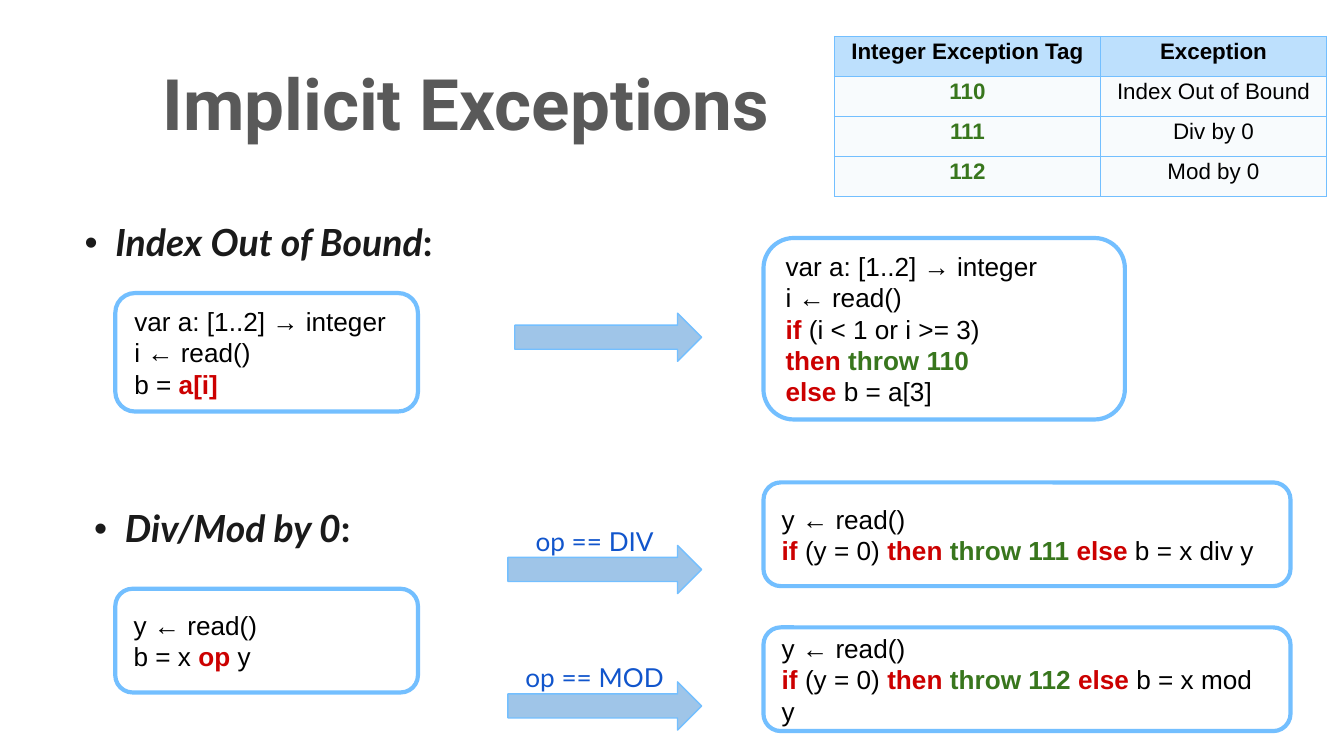
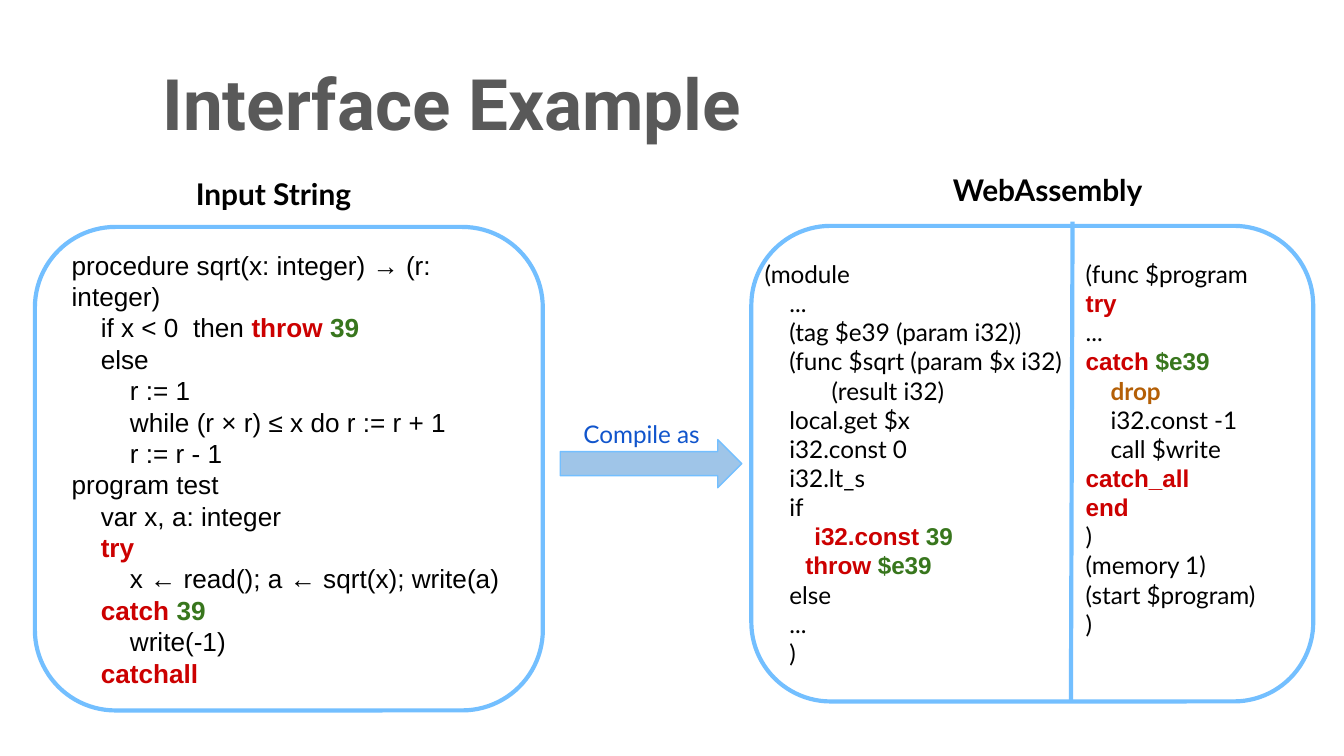
import dataclasses

import lxml.etree
import pptx
import pptx.dml.color
import pptx.enum.shapes
import pptx.enum.text
import pptx.oxml
import pptx.oxml.ns
import pptx.util

Cm = pptx.util.Cm
Pt = pptx.util.Pt
Shape = pptx.enum.shapes.MSO_SHAPE
Anchor = pptx.enum.text.MSO_ANCHOR
Align = pptx.enum.text.PP_ALIGN
AutoSize = pptx.enum.text.MSO_AUTO_SIZE
qn = pptx.oxml.ns.qn


def color(value):
    return pptx.dml.color.RGBColor.from_string(value)


def apply(target, values):
    for name, value in values.items():
        setattr(target, name, value)


def margins(size):
    return {f"margin_{side}": Cm(size) for side in ("left", "right", "top", "bottom")}


def line(*runs, indent=0):
    return runs, indent


@dataclasses.dataclass(frozen=True)
class Theme:
    outline: str = "73BFFF"
    arrow: str = "9FC5E8"
    header: str = "BDE0FD"
    row: str = "F8FBFD"
    bullet: str = "1A1A1A"
    box_line: float = 2.25
    thin_line: float = 0.75
    styles: dict = dataclasses.field(default_factory=lambda: {
        "title": dict(name="Roboto", size=Pt(38), bold=True, color="595959"),
        "bullet": dict(name="Lato", size=Pt(20), bold=True, italic=True, color="1A1A1A"),
        "upright": dict(italic=False),
        "code": dict(name="Arial", size=Pt(14), color="000000"),
        "module": dict(name="Lato", size=Pt(13), color="000000"),
        "heading": dict(name="Lato", size=Pt(16), bold=True, color="000000"),
        "operator": dict(name="Lato", size=Pt(14), color="1155CC"),
        "action": dict(name="Lato", size=Pt(13), color="1155CC"),
        "cell": dict(name="Arial", size=Pt(12), color="000000"),
        "strong": dict(bold=True),
        "keyword": dict(name="Arial", bold=True, color="CC0000"),
        "tag": dict(name="Arial", bold=True, color="38761D"),
        "drop": dict(bold=True, color="B45F06"),
    })


class Deck:
    def __init__(self, theme):
        self.theme = theme
        self.presentation = pptx.Presentation()
        apply(self.presentation, {"slide_width": Cm(25.4), "slide_height": Cm(14.29)})
        self.slide = None

    def new_slide(self, layout, title, title_width):
        self.slide = self.presentation.slides.add_slide(self.presentation.slide_layouts[layout])
        shape = self.slide.shapes.title
        self.place(shape, 3.02, 0.15, title_width, 3.58)
        self.frame(shape, 0.05, Anchor.MIDDLE)
        self.add_lines(shape.text_frame, [line(title)], "title")

    def place(self, shape, left, top, width, height):
        apply(shape, {"left": Cm(left), "top": Cm(top), "width": Cm(width), "height": Cm(height)})

    def frame(self, shape, margin, anchor, auto_size=AutoSize.NONE):
        apply(shape.text_frame, {**margins(margin), "vertical_anchor": anchor,
                                 "word_wrap": True, "auto_size": auto_size})

    def add_lines(self, frame, lines, base, **paragraph_format):
        for number, (runs, indent) in enumerate(lines):
            paragraph = frame.add_paragraph() if number else frame.paragraphs[0]
            apply(paragraph, {"alignment": Align.LEFT, **paragraph_format})
            if indent:
                paragraph._p.get_or_add_pPr().set("marL", str(Cm(indent)))
            for item in runs:
                text, style = (item, None) if isinstance(item, str) else item
                values = {**self.theme.styles[base], **self.theme.styles.get(style, {})}
                run = paragraph.add_run()
                run.text = text
                run.font.color.rgb = color(values.pop("color"))
                apply(run.font, values)

    def bullet(self, index, left, top, *runs):
        shape = self.slide.placeholders[index]
        self.place(shape, left, top, 18.77, 0.91)
        self.frame(shape, 0.05, Anchor.TOP)
        self.add_lines(shape.text_frame, [line(*runs)], "bullet", line_spacing=0.9, space_before=Pt(0))
        properties = shape.text_frame.paragraphs[0]._p.get_or_add_pPr()
        properties.set("marL", str(Cm(0.61)))
        properties.set("indent", str(Cm(-0.58)))
        bullet_color = lxml.etree.SubElement(properties, qn("a:buClr"))
        lxml.etree.SubElement(bullet_color, qn("a:srgbClr"), val=self.theme.bullet)
        lxml.etree.SubElement(properties, qn("a:buChar"), char="•")

    def outlined(self, kind, bounds, width):
        shape = self.slide.shapes.add_shape(kind, *map(Cm, bounds))
        shape.shadow.inherit = False
        shape.line.color.rgb = color(self.theme.outline)
        shape.line.width = Pt(width)
        return shape

    def box(self, bounds, lines=()):
        shape = self.outlined(Shape.ROUNDED_RECTANGLE, bounds, self.theme.box_line)
        shape.fill.background()
        self.frame(shape, 0.25, Anchor.MIDDLE)
        self.add_lines(shape.text_frame, lines, "code")

    def arrow(self, left, top, width):
        shape = self.outlined(Shape.RIGHT_ARROW, (left, top, width, 0.91), self.theme.thin_line)
        shape.fill.solid()
        shape.fill.fore_color.rgb = color(self.theme.arrow)

    def text(self, bounds, lines, base, alignment=Align.LEFT):
        shape = self.slide.shapes.add_textbox(*map(Cm, bounds))
        self.frame(shape, 0.25, Anchor.TOP, AutoSize.SHAPE_TO_FIT_TEXT)
        self.add_lines(shape.text_frame, lines, base, alignment=alignment)

    def label(self, bounds, words, base):
        self.text(bounds, [line(words)], base, Align.CENTER)

    def divider(self, *ends):
        connector = self.slide.shapes.add_connector(
            pptx.enum.shapes.MSO_CONNECTOR.STRAIGHT, *map(Cm, ends))
        connector.line.color.rgb = color(self.theme.outline)
        connector.line.width = Pt(self.theme.box_line)
        lxml.etree.SubElement(connector._element.spPr, qn("a:effectLst"))

    def border(self, cell):
        properties = cell._tc.get_or_add_tcPr()
        for position, side in enumerate(("lnL", "lnR", "lnT", "lnB")):
            edge = lxml.etree.Element(qn(f"a:{side}"), w=str(Pt(self.theme.thin_line)))
            fill = lxml.etree.SubElement(edge, qn("a:solidFill"))
            lxml.etree.SubElement(fill, qn("a:srgbClr"), val=self.theme.outline)
            properties.insert(position, edge)

    def table(self, left, top, widths, heights, rows):
        table = self.slide.shapes.add_table(
            len(rows), len(widths), Cm(left), Cm(top), Cm(sum(widths)), Cm(sum(heights))).table
        table.horz_banding = False
        for column, width in zip(table.columns, widths):
            column.width = Cm(width)
        for row, height in zip(table.rows, heights):
            row.height = Cm(height)
        for row_number, row in enumerate(rows):
            for column_number, item in enumerate(row):
                cell = table.cell(row_number, column_number)
                apply(cell, margins(0.25))
                cell.fill.solid()
                cell.fill.fore_color.rgb = color(self.theme.row if row_number else self.theme.header)
                self.border(cell)
                self.add_lines(cell.text_frame, [line(item)], "cell",
                               alignment=Align.CENTER, line_spacing=0.5)


def keyword(text):
    return text, "keyword"


def tag(text):
    return text, "tag"


def build_implicit_exceptions(deck):
    deck.new_slide(3, "Implicit Exceptions", 20.85)
    deck.bullet(1, 1.52, 4.19, "Index Out of Bound", (":", "upright"))
    deck.bullet(2, 1.7, 9.6, "Div/Mod by 0", (":", "upright"))

    array_lines = [line("var a: [1..2] → integer"), line("i ← read()")]
    deck.box((2.18, 5.54, 5.72, 2.24), array_lines + [line("b = ", keyword("a[i]"))])
    deck.box((14.43, 4.5, 6.83, 3.43), array_lines + [
        line(keyword("if "), "(i < 1 or i >= 3)"),
        line(keyword("then "), tag("throw 110")),
        line(keyword("else"), " b = a[3]"),
    ])
    deck.arrow(9.73, 5.92, 3.53)

    read_line = line("y ← read()")
    deck.box((2.18, 11.13, 5.72, 1.96), [read_line, line("b = x ", keyword("op"), " y")])
    for number, (operator, code) in enumerate((("div", 111), ("mod", 112))):
        deck.box((14.43, 9.12 + 2.74 * number, 9.96, 1.96), [read_line, line(
            keyword("if"), " (y = 0)", keyword(" then"), tag(f" throw {code} "),
            keyword("else"), f" b = x {operator} y")])
        deck.arrow(9.6, 10.31 + 2.58 * number, 3.66)
        deck.label((9.6, 9.68 + 2.58 * number, 3.28, 1.12), f"op == {operator.upper()}", "operator")

    deck.table(15.77, 0.69, (5.03, 4.27), (0.74, 0.69, 0.66, 0.69), [
        (("Integer Exception Tag", "strong"), ("Exception", "strong")),
        (tag("110"), "Index Out of Bound"),
        (tag("111"), "Div by 0"),
        (tag("112"), "Mod by 0"),
    ])


def build_interface_example(deck):
    deck.new_slide(5, "Interface Example", 14.05)
    step = 0.55
    deck.box((0.66, 4.29, 9.6, 9.14), [
        line("procedure sqrt(x: integer) → (r: integer)"),
        line("if x < 0  then", keyword(" throw "), tag("39"), indent=step),
        line("else", indent=step),
        line("r := 1", indent=2 * step),
        line("while (r × r) ≤ x do r := r + 1", indent=2 * step),
        line("r := r - 1", indent=2 * step),
        line("program test"),
        line("var x, a: integer", indent=step),
        line(keyword("try"), indent=step),
        line("x ← read(); a ← sqrt(x); write(a)", indent=2 * step),
        line(keyword("catch "), tag("39"), indent=step),
        line("write(-1)", indent=2 * step),
        line(keyword("catchall"), indent=step),
    ])
    deck.label((2.54, 3.07, 5.26, 1.19), "Input String", "heading")
    deck.arrow(10.59, 8.31, 3.43)
    deck.label((10.59, 7.67, 3.07, 1.07), "Compile as", "action")

    deck.box((14.2, 4.27, 10.62, 8.99))
    deck.label((17.17, 3, 5.26, 1.19), "WebAssembly", "heading")
    step = 0.47
    deck.text((14.2, 4.65, 6.15, 8.84), [
        line("(module"),
        line("...", indent=step),
        line("(tag $e39 (param i32))", indent=step),
        line("(func $sqrt (param $x i32)", indent=step),
        line("(result i32)", indent=1.27),
        line("local.get $x", indent=step),
        line("i32.const 0", indent=step),
        line("i32.lt_s", indent=step),
        line("if", indent=step),
        line(keyword("i32.const "), tag("39"), indent=2 * step),
        line(keyword("throw "), tag("$e39"), indent=0.77),
        line("else", indent=step),
        line("...", indent=step),
        line(")", indent=step),
    ], "module")
    deck.divider(20.27, 4.19, 20.24, 13.23)
    deck.text((20.27, 4.65, 5.13, 8.31), [
        line("(func $program"),
        line(keyword("try")),
        line("..."),
        line(keyword("catch"), tag(" $e39")),
        line(("drop", "drop"), indent=step),
        line("i32.const -1", indent=step),
        line("call $write", indent=step),
        line(keyword("catch_all")),
        line(keyword("end")),
        line(")"),
        line("(memory 1)"),
        line("(start $program)"),
        line(")"),
    ], "module")


def main():
    deck = Deck(Theme())
    build_implicit_exceptions(deck)
    build_interface_example(deck)
    deck.presentation.save("out.pptx")


if __name__ == "__main__":
    main()
